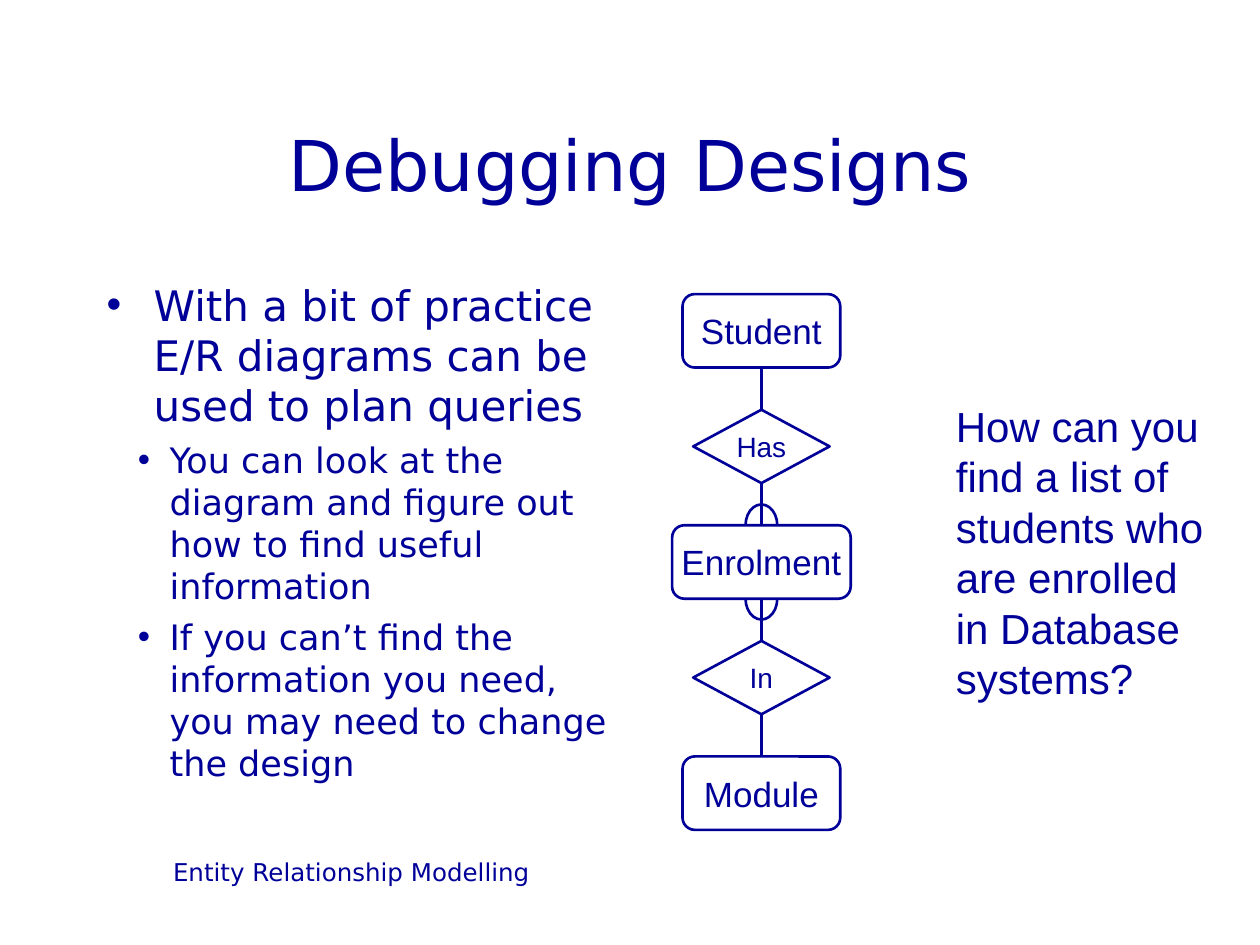
from lxml import etree
from pptx import Presentation
from pptx.dml.color import RGBColor
from pptx.enum.shapes import MSO_CONNECTOR, MSO_SHAPE
from pptx.enum.text import MSO_ANCHOR, PP_ALIGN
from pptx.oxml.ns import qn
from pptx.util import Cm, Pt

ROUND, DIAMOND, ARC = MSO_SHAPE.ROUNDED_RECTANGLE, MSO_SHAPE.DIAMOND, MSO_SHAPE.ARC
STRAIGHT = MSO_CONNECTOR.STRAIGHT
LEFT, CENTER = PP_ALIGN.LEFT, PP_ALIGN.CENTER
TOP, MIDDLE = MSO_ANCHOR.TOP, MSO_ANCHOR.MIDDLE
COLORS = {"ink": "000099"}
INK = RGBColor.from_string(COLORS["ink"])


def write(sp, lines, sizes, font, align=LEFT, anchor=TOP, wrap=True):
    tf = sp.text_frame
    tf.word_wrap = wrap
    tf.vertical_anchor = anchor
    tf.text = "\n".join(lines)
    for p, size in zip(tf.paragraphs, sizes):
        p.alignment = align
        for r in p.runs:
            r.font.size = Pt(size)
            r.font.name = font
            r.font.color.rgb = INK
    return tf


def outline(sp):
    sp.shadow.inherit = False
    sp.fill.background()
    sp.line.color.rgb = INK
    sp.line.width = Pt(1.5)


prs = Presentation()
prs.slide_width, prs.slide_height = Cm(25.4), Cm(19.05)
s = prs.slides.add_slide(prs.slide_layouts[6])

sp = s.shapes.add_textbox(Cm(1.9), Cm(17.15), Cm(10.37), Cm(1.27))
write(sp, ["Entity Relationship Modelling"], [14], "DejaVu Sans", CENTER)

sp = s.shapes.add_textbox(Cm(1.9), Cm(1.7), Cm(21.6), Cm(3.18))
write(sp, ["Debugging Designs"], [40], "DejaVu Sans", CENTER, MIDDLE)

bullets = [
    "With a bit of practice E/R diagrams can be used to plan queries",
    "You can look at the diagram and figure out how to find useful information",
    "If you can’t find the information you need, you may need to change the design",
]
sp = s.shapes.add_textbox(Cm(1.9), Cm(5.5), Cm(10.6), Cm(11.43))
tf = write(sp, bullets, [24, 20, 20], "DejaVu Sans")
for i, p in enumerate(tf.paragraphs):
    margin, hang = (1.27, 0.64) if i else (0.95, 0.95)
    if i:
        p.level = 1
        p.space_before = Pt(5)
    pPr = p._p.get_or_add_pPr()
    pPr.set("marL", str(Cm(margin)))
    pPr.set("indent", str(-Cm(hang)))
    etree.SubElement(pPr, qn("a:buFont")).set("typeface", "Arial")
    etree.SubElement(pPr, qn("a:buChar")).set("char", "•")

mid, top, step, height = 15.35, 5.93, 2.33, 1.48
nodes = [
    ("Student", ROUND, 3.18, 20),
    ("Has", DIAMOND, 2.75, 16),
    ("Enrolment", ROUND, 3.6, 20),
    ("In", DIAMOND, 2.75, 16),
    ("Module", ROUND, 3.18, 20),
]
for i, (name, kind, width, size) in enumerate(nodes):
    y = top + i * step
    sp = s.shapes.add_shape(kind, Cm(mid - width / 2), Cm(y), Cm(width), Cm(height))
    outline(sp)
    write(sp, [name], [size], "Arial", CENTER, MIDDLE, False)
    if i:
        line = s.shapes.add_connector(STRAIGHT, Cm(mid), Cm(y - step + height), Cm(mid), Cm(y))
        line.line.color.rgb = INK
        line.line.width = Pt(1.5)
        etree.SubElement(line._element.spPr, qn("a:effectLst"))

enrolment = top + 2 * step
for y, start, end in [(enrolment, 108, 0), (enrolment + height, 0, 108)]:
    sp = s.shapes.add_shape(ARC, Cm(mid - 0.32), Cm(y - 0.42), Cm(0.64), Cm(0.84))
    outline(sp)
    sp.adjustments[0] = start
    sp.adjustments[1] = end

question = ["How can you", "find a list of", "students who", "are enrolled", "in Database", "systems?"]
sp = s.shapes.add_textbox(Cm(19.02), Cm(7.95), Cm(5.49), Cm(6.35))
write(sp, question, [24] * len(question), "Arial", wrap=False)

prs.save("out.pptx")
